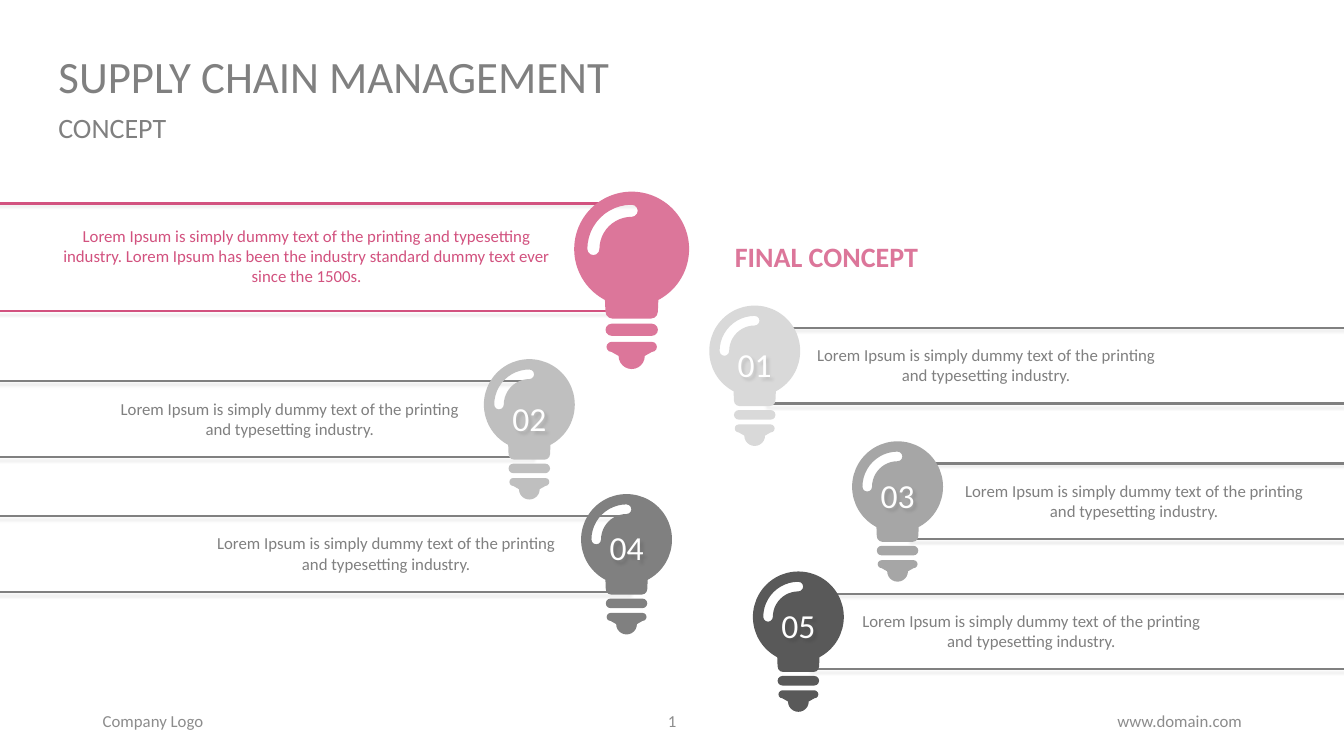
"""Build the supply chain concept slide with numbered light bulbs."""
from math import cos, radians, sin

from pptx import Presentation
from pptx.dml.color import RGBColor
from pptx.enum.shapes import MSO_SHAPE
from pptx.enum.text import MSO_ANCHOR, MSO_AUTO_SIZE, PP_ALIGN
from pptx.oxml import parse_xml
from pptx.oxml.ns import nsdecls, qn
from pptx.util import Cm, Pt

RECTANGLE = MSO_SHAPE.RECTANGLE
TOP, MIDDLE = MSO_ANCHOR.TOP, MSO_ANCHOR.MIDDLE
LEFT, CENTER, RIGHT = PP_ALIGN.LEFT, PP_ALIGN.CENTER, PP_ALIGN.RIGHT
NO_AUTOFIT = MSO_AUTO_SIZE.NONE

FONT = "Calibri"
GRAY, FOOTER_GRAY, WHITE = "808080", "8C8C8C", "FFFFFF"
PINK, DARK_PINK = "DC769A", "D2527F"
SLIDE_WIDTH, SLIDE_HEIGHT, BLEED = 33.87, 19.05, 0.32
LARGE_BULB, SMALL_BULB = 2.54, 2.01
SHADOW = (
    f'<a:outerShdw {nsdecls("a")} blurRad="25400" dist="38100" dir="2400000" '
    'algn="tl" rotWithShape="0"><a:srgbClr val="000000"><a:alpha val="10000"/>'
    "</a:srgbClr></a:outerShdw>"
)

# Arcs are centre x, centre y, radius, start angle, end angle
GLOBE = [(0, 0.57, 0.57, 117.7, 422.3), (0.19, 1.19, 0.07, 0, 90),
         (-0.19, 1.19, 0.07, 90, 180)]
GLARE = [(0, 0.57, 0.44, 180, 270), (0, 0.19, 0.06, -90, 90),
         (0, 0.57, 0.32, 270, 180), (-0.38, 0.57, 0.06, 0, 180)]
RING = [(0.2, 1.37, 0.06, -90, 90), (-0.2, 1.37, 0.06, 90, 270)]
BASE = [(0.2, 1.54, 0.05, -90, 90), (0, 1.63, 0.13, 0, 180),
        (-0.2, 1.54, 0.05, 90, 270)]
BULB_PARTS = [[BASE], [RING], [GLOBE, GLARE]]

CAPTION = ("Lorem Ipsum is simply dummy text of the printing "
           "and typesetting industry.")
FINAL_CAPTION = (CAPTION + " Lorem Ipsum has been the industry standard "
                 "dummy text ever since the 1500s.")


def add_text(text, left, top, width, height, shape=None, size=12, color=GRAY,
             align=LEFT, anchor=MIDDLE, bold=False):
    """Write formatted text in a new text box or in the given shape."""
    box = (Cm(left), Cm(top), Cm(width), Cm(height))
    if shape is None:
        shape = slide.shapes.add_textbox(*box)
    shape.left, shape.top, shape.width, shape.height = box
    frame = shape.text_frame
    frame.text = text
    frame.word_wrap = True
    frame.auto_size = NO_AUTOFIT
    frame.vertical_anchor = anchor
    paragraph = frame.paragraphs[0]
    paragraph.alignment = align
    font = paragraph.runs[0].font
    font.name, font.size, font.bold = FONT, Pt(size), bold
    font.color.rgb = RGBColor.from_string(color)
    return shape


def trace_outline(arcs, center, top, scale):
    """Return the corner points of joined arcs and the arc leading to each."""
    points, curves = [], []
    for x, y, radius, start, end in arcs:
        quadrants = [angle for angle in range(0, 450, 90) if start < angle < end]
        stops = [start, *quadrants, end]
        for previous, angle in zip([None, *stops], stops):
            points.append((Cm(center + scale * (x + radius * cos(radians(angle)))),
                           Cm(top + scale * (y + radius * sin(radians(angle))))))
            curves.append(None if previous is None else
                          (Cm(scale * radius), previous % 360, angle - previous))
    return points, curves


presentation = Presentation()
presentation.slide_width = Cm(SLIDE_WIDTH)
presentation.slide_height = Cm(SLIDE_HEIGHT)
slide = presentation.slides.add_slide(presentation.slide_layouts[5])

add_text("SUPPLY CHAIN MANAGEMENT", 1.22, 1.09, 15.7, 1.62,
         shape=slide.shapes.title, size=32, anchor=TOP)
add_text("CONCEPT", 1.22, 2.67, 15.7, 1.11, size=20, anchor=TOP)
for text, left, width, align in [("Company Logo", 2.34, 7.62, LEFT),
                                 ("1", 13.13, 7.62, CENTER),
                                 ("www.domain.com", 22.89, 8.66, RIGHT)]:
    add_text(text, left, 17.65, width, 1.02, color=FOOTER_GRAY, align=align)

# Bands are left, top, width, height, colour; bulbs are centre, top, scale, colour
bands = [(-BLEED, 5.13, 16.62, 2.72, DARK_PINK)]
bulbs = [(15.92, 4.83, LARGE_BULB, PINK)]
steps = [
    ("01", 19.02, 7.7, 20.12, 0.84, "D9D9D9"),
    ("02", 13.34, 9.05, 2.57, 0.84, "BFBFBF"),
    ("03", 22.62, 11.12, 23.85, 0.71, "A6A6A6"),
    ("04", 15.79, 12.45, 5, 0.71, "808080"),
    ("05", 20.12, 14.4, 21.26, 0.71, "595959"),
]
for number, center, top, caption_left, number_drop, color in steps:
    on_left = caption_left < center
    band_left = -BLEED if on_left else center + 0.25
    band_right = center if on_left else SLIDE_WIDTH + BLEED
    bands.append((band_left, top + 0.56, band_right - band_left, 1.91, GRAY))
    bulbs.append((center, top, SMALL_BULB, color))

shadowed = []
for left, top, width, height, color in bands:
    band = slide.shapes.add_shape(RECTANGLE, Cm(left), Cm(top), Cm(width), Cm(height))
    band.fill.background()
    band.line.color.rgb = RGBColor.from_string(color)
    band.line.width = Pt(1.5)
    shadowed.append(band)

for center, top, scale, color in bulbs:
    bulb = slide.shapes.add_group_shape()
    for outlines in BULB_PARTS:
        builder, part_curves = None, []
        for arcs in outlines:
            points, curves = trace_outline(arcs, center, top, scale)
            if builder is None:
                builder = bulb.shapes.build_freeform(*points[0])
            else:
                builder.move_to(*points[0])
            builder.add_line_segments(points[1:])
            part_curves += curves[1:]
        part = builder.convert_to_shape()
        part.fill.solid()
        part.fill.fore_color.rgb = RGBColor.from_string(color)
        part.line.fill.background()
        part.shadow.inherit = False
        for segment, curve in zip(list(part._element.iter(qn("a:lnTo"))), part_curves):
            if curve:
                radius, start, sweep = curve
                segment.getparent().replace(segment, parse_xml(
                    f'<a:arcTo {nsdecls("a")} wR="{radius}" hR="{radius}" '
                    f'stAng="{round(start * 60000)}" swAng="{round(sweep * 60000)}"/>'))

for number, center, top, caption_left, number_drop, color in steps:
    add_text(CAPTION, caption_left, top + 0.86, 9.47, 1.27, align=CENTER)
    shadowed.append(add_text(number, center - 0.99, top + number_drop, 1.98, 1.27,
                             size=24, color=WHITE, align=CENTER))
add_text(FINAL_CAPTION, 1.14, 5.54, 13.18, 1.8, color=DARK_PINK, align=CENTER)
add_text("FINAL CONCEPT", 17.53, 5.89, 6.6, 1.12, size=20, color=PINK,
         align=CENTER, bold=True)

for shape in shadowed:
    shape.shadow.inherit = False
    effects = shape._element.spPr.find(qn("a:effectLst"))
    effects.append(parse_xml(SHADOW))

presentation.save("out.pptx")
